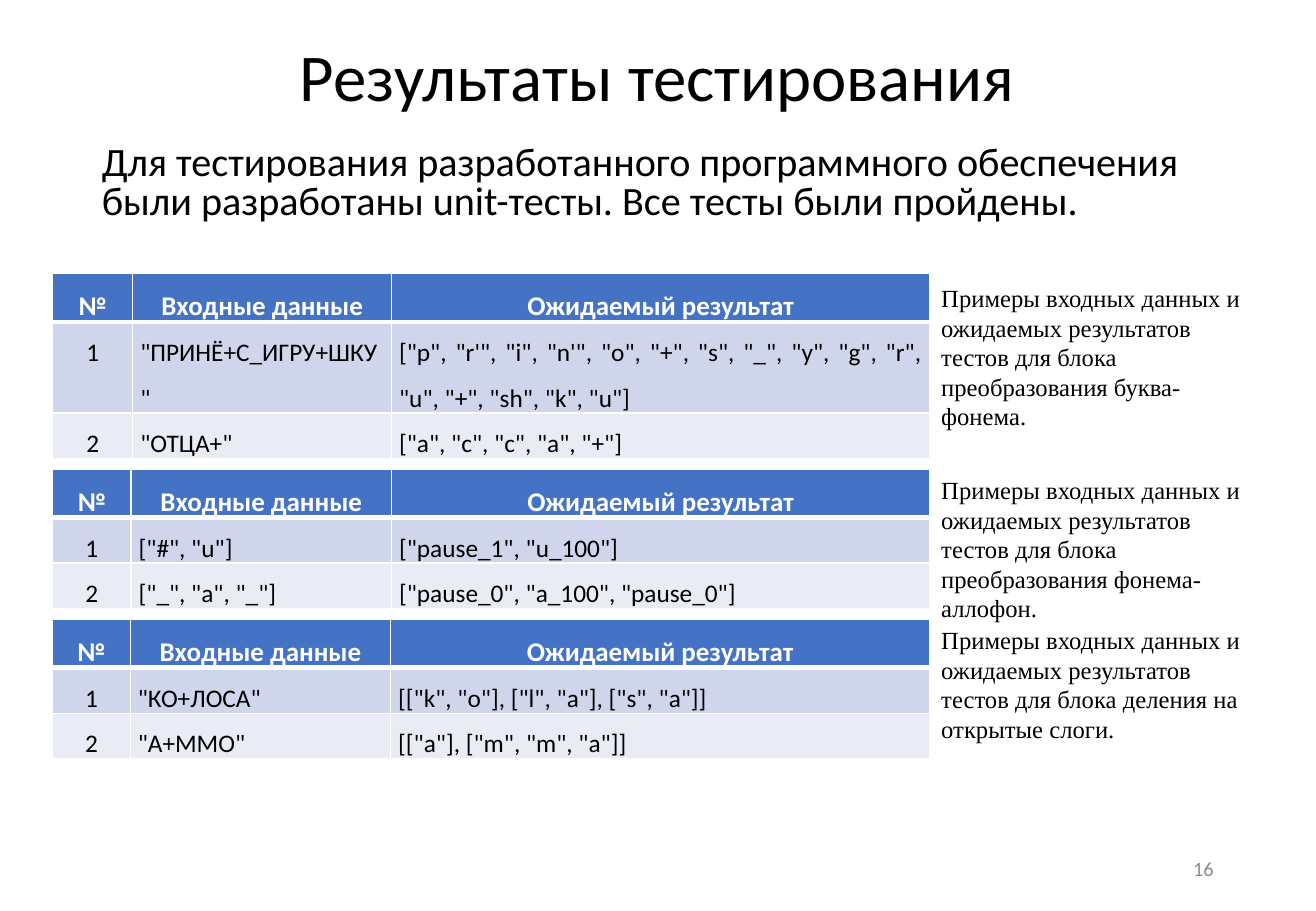
from lxml import etree
from pptx import Presentation, util as u
from pptx.dml.color import RGBColor
from pptx.enum import text
from pptx.oxml.ns import qn

# Content
TITLE = "Результаты тестирования"
SUMMARY = ("Для тестирования разработанного программного обеспечения "
           "были разработаны unit-тесты. Все тесты были пройдены.")
PAGE_NUMBER = "16"
HEADER = ("№", "Входные данные", "Ожидаемый результат")
NOTE_START = "Примеры входных данных и ожидаемых результатов тестов для блока "
TESTS = [
    {"top": 162, "note_top": 164.2, "columns": (47.5, 153.4, 319), "rows": (26, 49.7, 24),
     "note": "преобразования буква-фонема.", "note_size": (198, 95.8),
     "cases": [('"ПРИНЁ+С_ИГРУ+ШКУ"',
                '["p", "r\'", "i", "n\'", "o", "+", "s", "_", "y", "g", "r", '
                '"u", "+", "sh", "k", "u"]'),
               ('"ОТЦА+"', '["a", "c", "c", "a", "+"]')]},
    {"top": 278, "note_top": 278, "columns": (46.5, 154.4, 319), "rows": (26, 24, 24),
     "note": "преобразования фонема-аллофон.", "note_size": (206, 95.8),
     "cases": [('["#", "u"]', '["pause_1", "u_100"]'),
               ('["_", "a", "_"]', '["pause_0", "a_100", "pause_0"]')]},
    {"top": 367, "note_top": 367, "columns": (46, 154.4, 319.5), "rows": (26, 24, 24),
     "note": "деления на открытые слоги.", "note_size": (206, 78.5),
     "cases": [('"КО+ЛОСА"', '[["k", "o"], ["l", "a"], ["s", "a"]]'),
               ('"А+ММО"', '[["a"], ["m", "m", "a"]]')]},
]

# Style
COLORS = {"text": "000000", "white": "FFFFFF", "page": "8C8C8C",
          "header": "4472C4", "odd": "CFD5EA", "even": "E9EBF5"}
BODY_FONT, NOTE_FONT = "Calibri", "Times New Roman"
TABLE_LEFT, NOTE_LEFT = 31.2, 550.8
CELL_MARGIN, THIN, THICK = 4.5, 1, 3
ALIGN = text.PP_ALIGN

presentation = Presentation()
presentation.slide_width, presentation.slide_height = u.Pt(780), u.Pt(540)
slide = presentation.slides.add_slide(presentation.slide_layouts[6])


def write(frame, words, size, color="text", font=BODY_FONT, align=ALIGN.LEFT,
          spacing=1.0, bold=False):
    paragraph = frame.paragraphs[0]
    paragraph.alignment = align
    paragraph.line_spacing = spacing
    run = paragraph.add_run()
    run.text = words
    run.font.name = font
    run.font.size = u.Pt(size)
    run.font.bold = bold
    run.font.color.rgb = RGBColor.from_string(COLORS[color])
    return paragraph


def add_text(left, top, width, height, words, size, anchor=text.MSO_ANCHOR.TOP, **style):
    box = slide.shapes.add_textbox(u.Pt(left), u.Pt(top), u.Pt(width), u.Pt(height))
    box.text_frame.word_wrap = True
    box.text_frame.vertical_anchor = anchor
    return write(box.text_frame, words, size, **style)


def set_borders(cell, top, bottom):
    properties = cell._tc.get_or_add_tcPr()
    sides = (("lnL", THIN), ("lnR", THIN), ("lnT", top), ("lnB", bottom))
    for position, (side, width) in enumerate(sides):
        line = etree.Element(qn(f"a:{side}"), w=str(u.Pt(width)))
        fill = etree.SubElement(line, qn("a:solidFill"))
        etree.SubElement(fill, qn("a:srgbClr"), val=COLORS["white"])
        properties.insert(position, line)


def add_test_table(test):
    columns, heights = test["columns"], test["rows"]
    table = slide.shapes.add_table(
        len(heights), len(columns), u.Pt(TABLE_LEFT), u.Pt(test["top"]),
        u.Pt(sum(columns)), u.Pt(sum(heights))).table
    for column, width in zip(table.columns, columns):
        column.width = u.Pt(width)
    for row, height in zip(table.rows, heights):
        row.height = u.Pt(height)

    rows = [HEADER] + [(str(n), *case) for n, case in enumerate(test["cases"], 1)]
    for r, values in enumerate(rows):
        is_header = r == 0
        band = "header" if is_header else "odd" if r % 2 else "even"
        for c, value in enumerate(values):
            cell = table.cell(r, c)
            cell.margin_left = cell.margin_right = u.Pt(CELL_MARGIN)
            cell.margin_top = cell.margin_bottom = 0
            cell.fill.solid()
            cell.fill.fore_color.rgb = RGBColor.from_string(COLORS[band])
            set_borders(cell, THICK if r == 1 else THIN, THICK if is_header else THIN)
            write(cell.text_frame, value, 16 if is_header else 15,
                  color="white" if is_header else "text", bold=is_header, spacing=1.5,
                  align=ALIGN.CENTER if is_header or c == 0 else ALIGN.JUSTIFY)


# Title, summary and page number
add_text(53.3, 20.9, 672.5, 52.6, TITLE, 39.6, anchor=text.MSO_ANCHOR.MIDDLE,
         align=ALIGN.CENTER, spacing=0.9)
summary = add_text(53.3, 82.8, 672.5, 54.7, SUMMARY, 23.8, spacing=0.8)
summary.space_before = u.Pt(10)
add_text(550.8, 500.4, 175.7, 28.8, PAGE_NUMBER, 12, anchor=text.MSO_ANCHOR.MIDDLE,
         color="page", align=ALIGN.RIGHT)

# Test tables with their notes
for test in TESTS:
    add_test_table(test)
    add_text(NOTE_LEFT, test["note_top"], *test["note_size"],
             NOTE_START + test["note"], 14.6, font=NOTE_FONT)

presentation.save("out.pptx")
